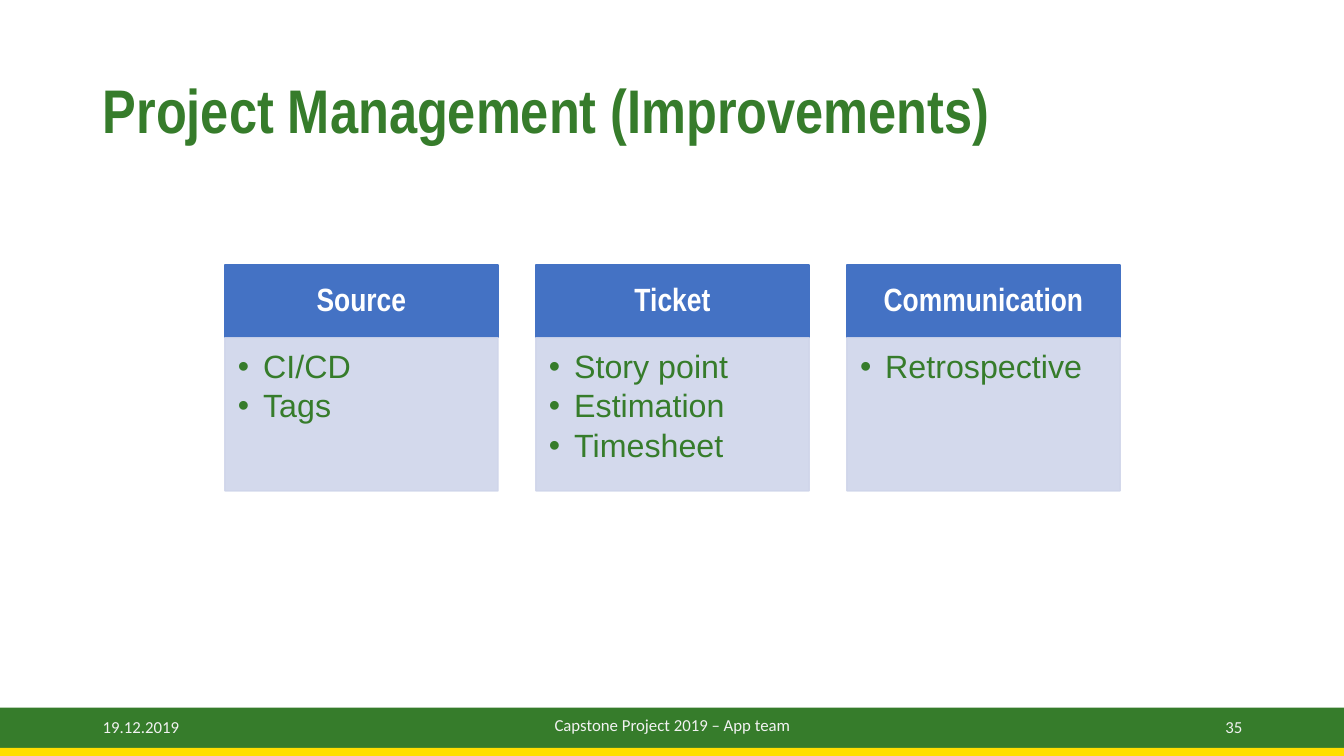
"""Build the project management improvements slide."""
from dataclasses import dataclass

from lxml.etree import SubElement
from pptx import Presentation
from pptx.dml.color import RGBColor
from pptx.enum.shapes import MSO_SHAPE
from pptx.enum.text import MSO_ANCHOR, MSO_AUTO_SIZE, PP_ALIGN
from pptx.oxml.ns import qn
from pptx.util import Inches, Pt

TITLE = "Project Management (Improvements)"
TOPICS = {
    "Source": ["CI/CD", "Tags"],
    "Ticket": ["Story point", "Estimation", "Timesheet"],
    "Communication": ["Retrospective"],
}
FOOTER = [
    ("Capstone Project 2019 – App team", 4.42, 6.99, 4.5, PP_ALIGN.CENTER),
    ("19.12.2019", 0.92, 7.01, 3, PP_ALIGN.LEFT),
    ("35", 9.42, 7.01, 3, PP_ALIGN.RIGHT),
]


@dataclass(frozen=True)
class Theme:
    green: str = "367C2B"
    yellow: str = "FFDE00"
    blue: str = "4472C4"
    pale: str = "CFD5EA"
    white: str = "FFFFFF"
    grey: str = "F2F2F2"
    heading_font: str = "Arial Narrow"
    body_font: str = "Arial"
    footer_font: str = "Calibri"
    title_size: int = 44
    topic_size: int = 23
    footer_size: int = 12


THEME = Theme()
WIDTH, HEIGHT = 13.33, 7.5
COLUMN, GUTTER = 2.71, 0.375
GRID_LEFT, GRID_TOP = 2.23, 2.63
HEADER_ROW, BODY_ROW = 0.72, 1.52
STRIPE, BAND = 0.08, 0.4


def write(shape, lines, font, size, color, bold=False, align=PP_ALIGN.LEFT,
          anchor=MSO_ANCHOR.MIDDLE, insets=(0.1, 0.05, 0.1, 0.05), spacing=0.9, bullets=False):
    frame = shape.text_frame
    frame.word_wrap = True
    frame.auto_size = MSO_AUTO_SIZE.NONE
    frame.vertical_anchor = anchor
    (frame.margin_left, frame.margin_top,
     frame.margin_right, frame.margin_bottom) = map(Inches, insets)
    frame.text = "\n".join(lines)
    for paragraph in frame.paragraphs:
        paragraph.alignment = align
        paragraph.line_spacing = spacing
        if bullets:
            paragraph.level = 1
            paragraph.space_after = Pt(3.3)
            properties = paragraph._p.get_or_add_pPr()
            properties.set("marL", str(Inches(0.25)))
            properties.set("indent", str(Inches(-0.25)))
            SubElement(properties, qn("a:buFont")).set("typeface", font)
            SubElement(properties, qn("a:buChar")).set("char", "•")
        for run in paragraph.runs:
            run.font.name = font
            run.font.size = Pt(size)
            run.font.bold = bold
            run.font.color.rgb = RGBColor.from_string(color)


def block(slide, left, top, width, height, color, outlined=False, opacity=100):
    shape = slide.shapes.add_shape(MSO_SHAPE.RECTANGLE, *map(Inches, (left, top, width, height)))
    shape.shadow.inherit = False
    paints = [shape.fill]
    if outlined:
        shape.line.width = Pt(1)
        paints.append(shape.line.fill)
    else:
        shape.line.fill.background()
    for paint in paints:
        paint.solid()
        paint.fore_color.rgb = RGBColor.from_string(color)
    if opacity < 100:
        for tint in shape._element.spPr.iter(qn("a:srgbClr")):
            SubElement(tint, qn("a:alpha")).set("val", str(opacity * 1000))
    return shape


def add_topic(slide, column, topic, points):
    left = GRID_LEFT + column * (COLUMN + GUTTER)
    header = block(slide, left, GRID_TOP, COLUMN, HEADER_ROW, THEME.blue, outlined=True)
    write(header, [topic], THEME.heading_font, THEME.topic_size, THEME.white, bold=True,
          align=PP_ALIGN.CENTER, insets=(0.18, 0.1, 0.18, 0.1))
    body = block(slide, left, GRID_TOP + HEADER_ROW, COLUMN, BODY_ROW, THEME.pale,
                 outlined=True, opacity=90)
    write(body, points, THEME.body_font, THEME.topic_size, THEME.green,
          anchor=MSO_ANCHOR.TOP, insets=(0.13, 0.13, 0.18, 0.2), bullets=True)


def main():
    deck = Presentation()
    deck.slide_width, deck.slide_height = Inches(WIDTH), Inches(HEIGHT)
    slide = deck.slides.add_slide(deck.slide_layouts[5])

    title = slide.shapes.title
    title.left, title.top, title.width, title.height = map(Inches, (0.92, 0.4, 11.5, 1.45))
    write(title, [TITLE], THEME.heading_font, THEME.title_size, THEME.green, bold=True)

    block(slide, 0, HEIGHT - STRIPE - BAND, WIDTH, BAND, THEME.green)
    block(slide, 0, HEIGHT - STRIPE, WIDTH, STRIPE, THEME.yellow)
    for label, left, top, width, align in FOOTER:
        box = slide.shapes.add_textbox(*map(Inches, (left, top, width, BAND)))
        write(box, [label], THEME.footer_font, THEME.footer_size, THEME.grey,
              align=align, spacing=1.0)

    for column, (topic, points) in enumerate(TOPICS.items()):
        add_topic(slide, column, topic, points)
    deck.save("out.pptx")


if __name__ == "__main__":
    main()
